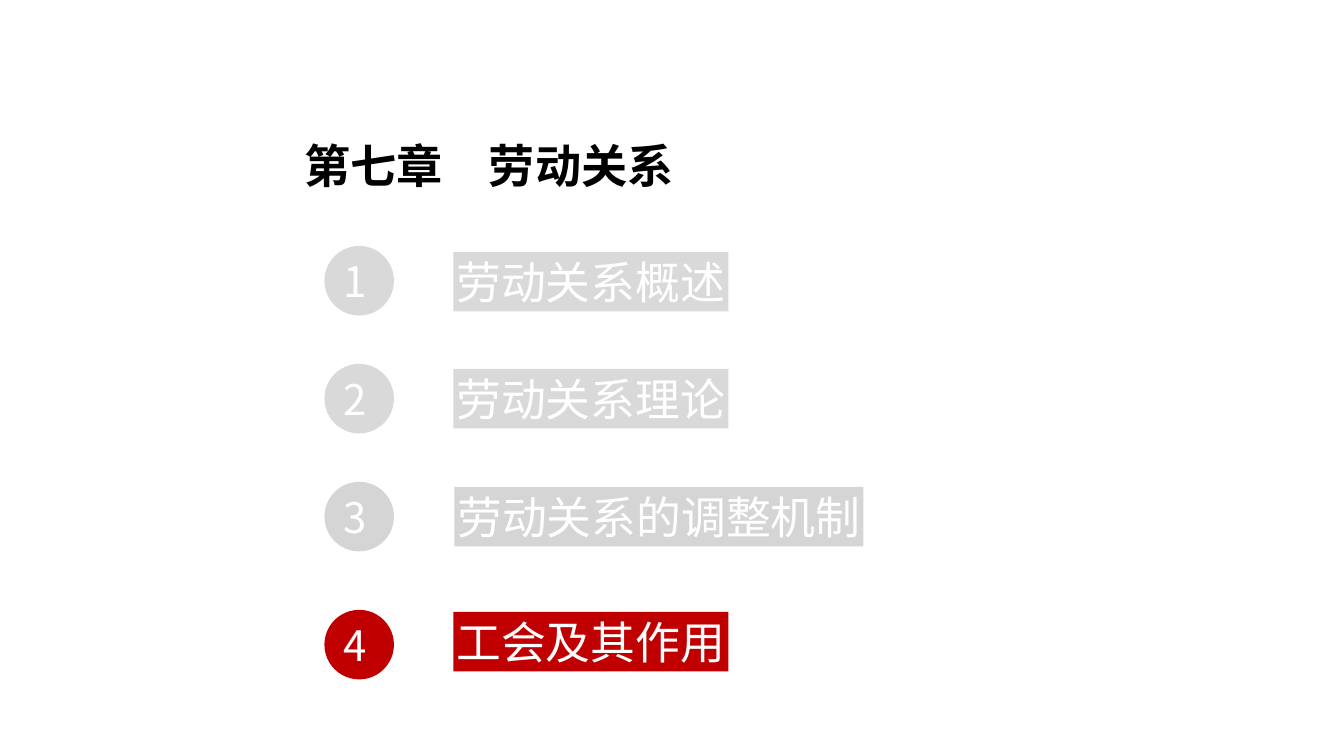
from dataclasses import dataclass

from lxml import etree
from pptx import Presentation
from pptx import util as u
from pptx.dml.color import RGBColor
from pptx.enum import shapes, text
from pptx.oxml.ns import qn

PX = 9144  # EMU per px, 100 px to the inch
CJK_FONT = "Noto Sans CJK SC"
LABEL_FONT = "Calibri"
WHITE, BLACK = "FFFFFF", "000000"
GREY, MID_GREY, RED = "D9D9D9", "D5D5D5", "C00000"
CIRCLE_LEFT, CIRCLE_SIZE = 322, 69
LABEL_HEIGHT = 59
PAD = 3
DIGIT_INDENT = 9


@dataclass(frozen=True)
class Box:
    left: int
    top: int
    width: int
    height: int

    def emu(self) -> list[u.Emu]:
        return [u.Emu(v * PX) for v in (self.left, self.top, self.width, self.height)]


@dataclass(frozen=True)
class Section:
    title: str
    circle_top: int
    label_left: int
    label_top: int
    label_width: int
    color: str


SECTIONS = [
    Section("劳动关系概述", 244, 450, 250, 273, GREY),
    Section("劳动关系理论", 361, 450, 366, 273, GREY),
    Section("劳动关系的调整机制", 478, 451, 483, 406, MID_GREY),
    Section("工会及其作用", 605, 450, 607, 273, RED),
]


def rgb(color: str) -> RGBColor:
    return RGBColor.from_string(color)


def write(sp, content: str, font: str, size: int, color: str,
          indent: int, bold: bool = False):
    """Put one left-aligned, vertically centred line in a shape."""
    tf = sp.text_frame
    tf.vertical_anchor = text.MSO_ANCHOR.MIDDLE
    tf.margin_top = tf.margin_right = tf.margin_bottom = 0
    tf.margin_left = u.Emu(indent * PX)
    tf.word_wrap = True
    tf.auto_size = text.MSO_AUTO_SIZE.NONE
    p = tf.paragraphs[0]
    p.alignment = text.PP_ALIGN.LEFT
    r = p.add_run()
    r.text = content
    r.font.size = u.Pt(size)
    r.font.bold = bold
    r.font.color.rgb = rgb(color)
    r.font.name = font
    etree.SubElement(r.font._element, qn("a:ea"), typeface=font)
    return p


def add_filled(slide, kind: shapes.MSO_SHAPE, box: Box, color: str):
    sp = slide.shapes.add_shape(kind, *box.emu())
    sp.shadow.inherit = False
    sp.fill.solid()
    sp.fill.fore_color.rgb = rgb(color)
    sp.line.fill.background()
    return sp


def add_title(slide, content: str, box: Box) -> None:
    sp = slide.shapes.title
    sp.left, sp.top, sp.width, sp.height = box.emu()
    p = write(sp, content, CJK_FONT, 33, BLACK, indent=PAD, bold=True)
    p.line_spacing = 1.5
    p.space_before = u.Pt(0)


def add_section(slide, number: int, section: Section) -> None:
    circle = add_filled(slide, shapes.MSO_SHAPE.OVAL,
                        Box(CIRCLE_LEFT, section.circle_top, CIRCLE_SIZE, CIRCLE_SIZE),
                        section.color)
    write(circle, str(number), CJK_FONT, 30, WHITE, indent=DIGIT_INDENT)
    label = add_filled(slide, shapes.MSO_SHAPE.RECTANGLE,
                       Box(section.label_left, section.label_top,
                           section.label_width, LABEL_HEIGHT),
                       section.color)
    write(label, section.title, LABEL_FONT, 32, WHITE, indent=PAD)


def main() -> None:
    prs = Presentation()
    prs.slide_width, prs.slide_height = u.Emu(1334 * PX), u.Emu(750 * PX)
    slide = prs.slides.add_slide(prs.slide_layouts[5])
    add_title(slide, "第七章　劳动关系", Box(299, 106, 376, 88))
    for number, section in enumerate(SECTIONS, start=1):
        add_section(slide, number, section)
    prs.save("out.pptx")


if __name__ == "__main__":
    main()
